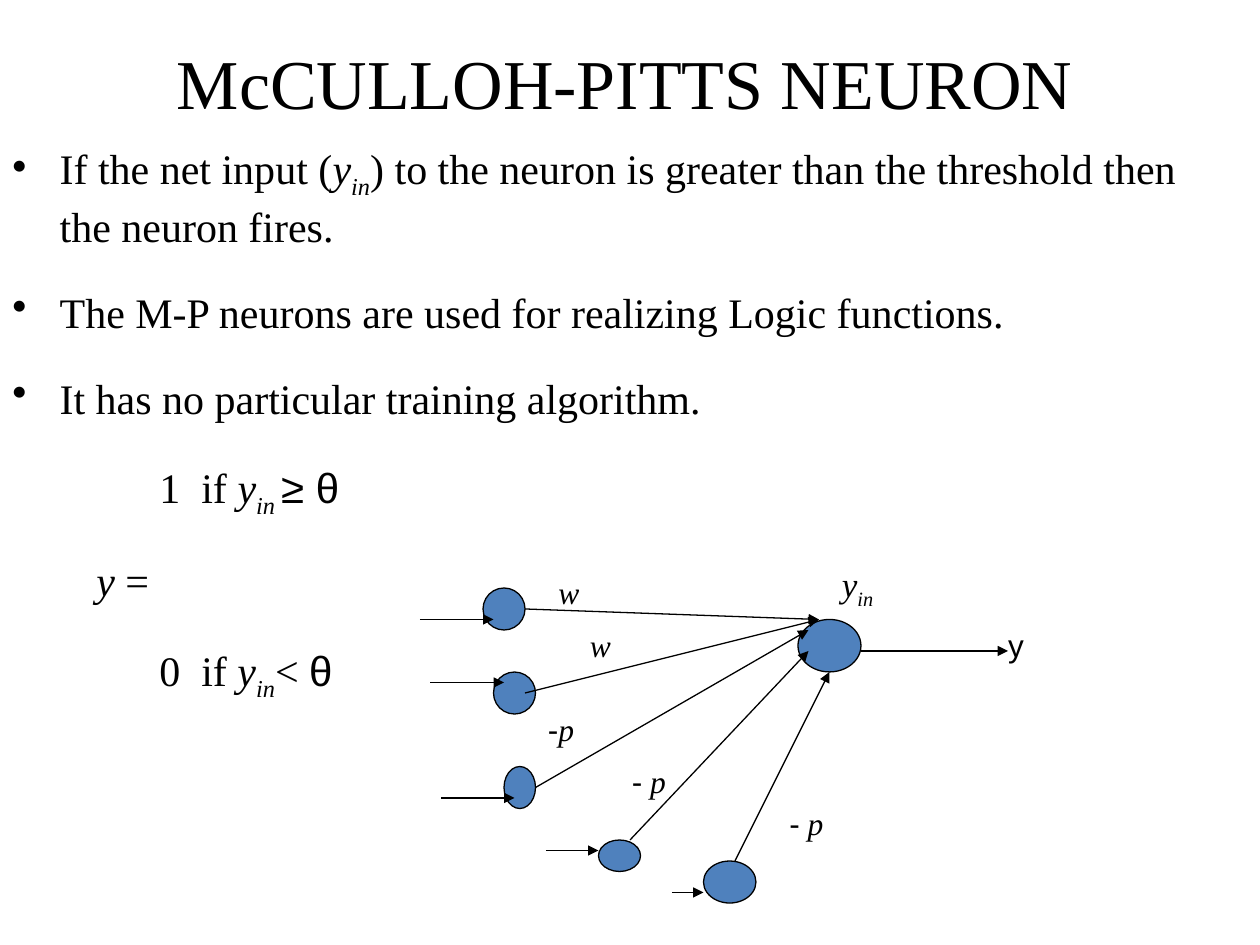
"""Build a slide on the McCulloh-Pitts neuron with its rule and network."""
import pptx
import pptx.util
import pptx.dml.color
import pptx.enum.shapes
import pptx.enum.text
import pptx.oxml.ns
import lxml.etree

Pt = pptx.util.Pt
RGB = pptx.dml.color.RGBColor.from_string
align = pptx.enum.text.PP_ALIGN
anchor = pptx.enum.text.MSO_ANCHOR
fit = pptx.enum.text.MSO_AUTO_SIZE
qn = pptx.oxml.ns.qn

theme = {
    "ink": RGB("000000"), "node": RGB("4F81BD"), "line": 0.75,
    "serif": "Times New Roman", "sans": "Arial",
    "title": 40, "body": 24, "label": 18, "net": 20,
}

deck = pptx.Presentation()
deck.slide_width, deck.slide_height = Pt(720), Pt(540)
slide = deck.slides.add_slide(deck.slide_layouts[6])
shapes = slide.shapes


def write(par, runs, size, side=align.LEFT, left=0, hang=0, lead=1.0, gap=0, mark=None):
    """Fill a paragraph; run styles: i italic, s subscript, a sans."""
    par.alignment = side
    par.line_spacing, par.space_before = lead, Pt(gap)
    props = par._p.get_or_add_pPr()
    props.set("marL", str(Pt(left)))
    props.set("indent", str(Pt(-hang)))
    if mark:
        lxml.etree.SubElement(props, qn("a:buChar")).set("char", mark)
    for words, style in runs:
        run = par.add_run()
        run.text = words
        font = run.font
        font.size, font.color.rgb = Pt(size), theme["ink"]
        font.name = theme["sans" if "a" in style else "serif"]
        font.italic = "i" in style
        if "s" in style:
            run._r.get_or_add_rPr().set("baseline", "-25000")


def frame(x, y, w, h):
    """Add a wrapping text box and return its text frame."""
    text = shapes.add_textbox(Pt(x), Pt(y), Pt(w), Pt(h)).text_frame
    text.word_wrap = True
    return text


title = frame(30, 21.6, 654, 50.4)
title.vertical_anchor = anchor.MIDDLE
write(title.paragraphs[0], [("McCULLOH-PITTS NEURON", "")], theme["title"], side=align.CENTER)

body = frame(0, 78, 684, 438)
point = dict(left=27, hang=27, mark="•")
rows = [
    ([("If the net input (", ""), ("y", "i"), ("in", "is"),
      (") to the neuron is greater than the threshold then the neuron fires.", "")],
     dict(point, lead=1.0)),
    ([("The M-P neurons are used for realizing Logic functions.", "")], point),
    ([("It has no particular training algorithm.", "")], point),
    ([("1  if ", ""), ("y", "i"), ("in ", "is"), ("≥ θ", "a")], dict(left=84)),
    ([("y", "i"), (" =", "")], dict(left=48)),
    ([("0  if", ""), (" y", "i"), ("in", "is"), ("< ", ""), ("θ", "a")], dict(left=84)),
]
for n, (runs, form) in enumerate(rows):
    par = body.add_paragraph() if n else body.paragraphs[0]
    write(par, runs, theme["body"], **{"lead": 1.5, "gap": 6, **form})

nodes = [
    (276, 336, 24, 24), (282, 384, 24, 24), (288, 438, 18, 24),
    (342, 480, 24, 18), (402, 492, 30, 24), (456, 354, 36, 30),
]
for x, y, w, h in nodes:
    node = shapes.add_shape(pptx.enum.shapes.MSO_SHAPE.OVAL, Pt(x), Pt(y), Pt(w), Pt(h))
    node.shadow.inherit = False
    node.fill.solid()
    node.fill.fore_color.rgb = theme["node"]
    node.line.color.rgb, node.line.width = theme["ink"], Pt(theme["line"])

links = [
    (300, 348, 468, 354), (300, 396, 468, 354), (306, 450, 462, 360),
    (360, 480, 462, 372), (420, 492, 474, 384), (492, 372, 576, 372),
    (240, 354, 282, 354), (246, 390, 288, 390), (252, 456, 294, 456),
    (312, 486, 342, 486), (384, 510, 402, 510),
]
for ends in links:
    link = shapes.add_connector(pptx.enum.shapes.MSO_CONNECTOR.STRAIGHT, *map(Pt, ends))
    link.line.color.rgb, link.line.width = theme["ink"], Pt(theme["line"])
    lxml.etree.SubElement(link.line._get_or_add_ln(), qn("a:tailEnd")).set("type", "triangle")
    lxml.etree.SubElement(link._element.spPr, qn("a:effectLst"))

labels = [
    (312, 324, 36, [("w", "i")], "label"),
    (330, 354, 30, [("w", "i")], "label"),
    (306, 402, 36, [("-", "a"), ("p", "i")], "label"),
    (354, 432, 42, [("-", "a"), (" p", "i")], "label"),
    (444, 456, 36, [("-", "a"), (" p", "i")], "label"),
    (564, 354, 48, [(" y", "a")], "label"),
    (474, 318, 54, [("y", "i"), ("in", "is")], "net"),
]
for x, y, w, runs, kind in labels:
    label = frame(x, y, w, 34.5 if kind == "net" else 29)
    label.auto_size = fit.SHAPE_TO_FIT_TEXT
    write(label.paragraphs[0], runs, theme[kind])

deck.save("out.pptx")
